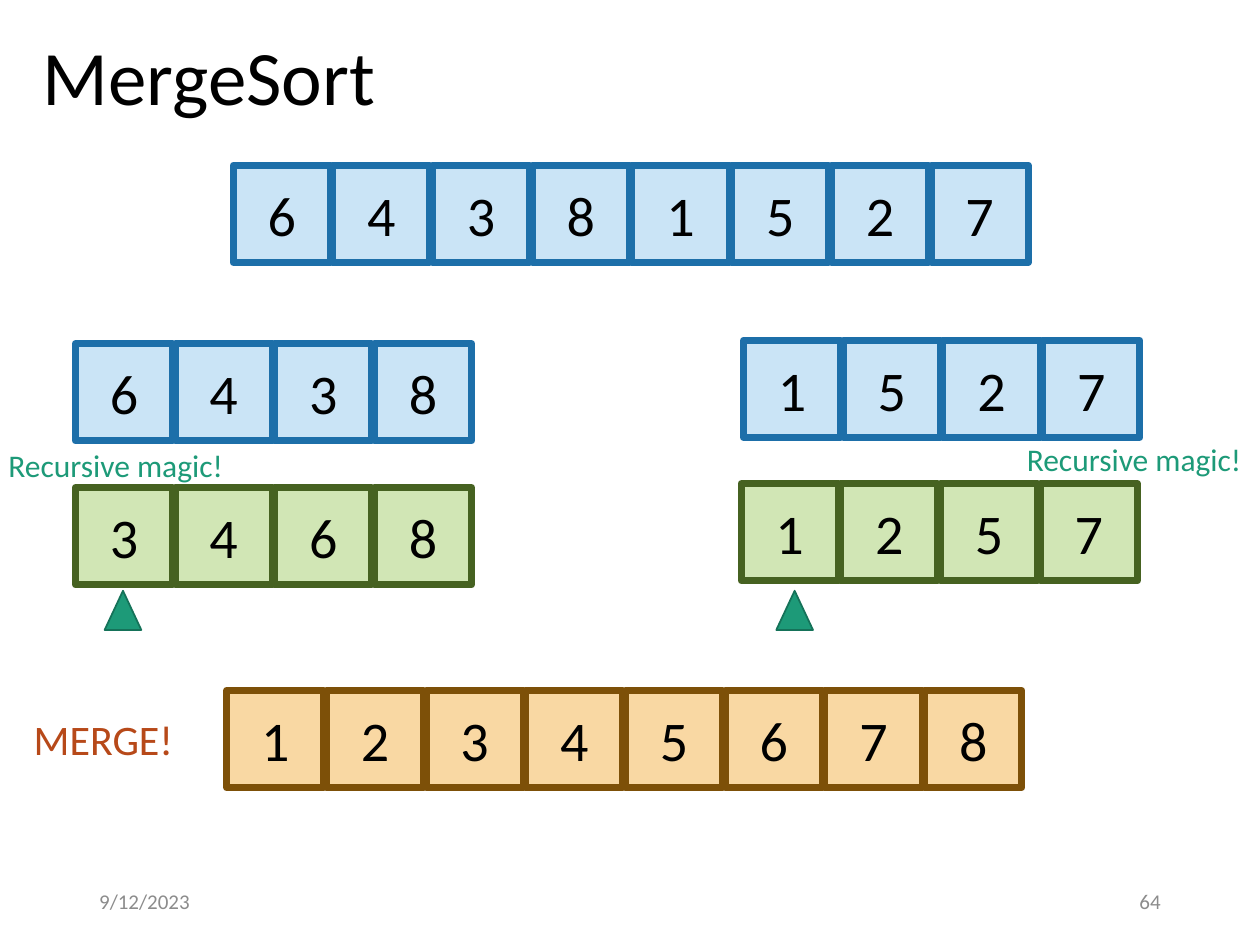
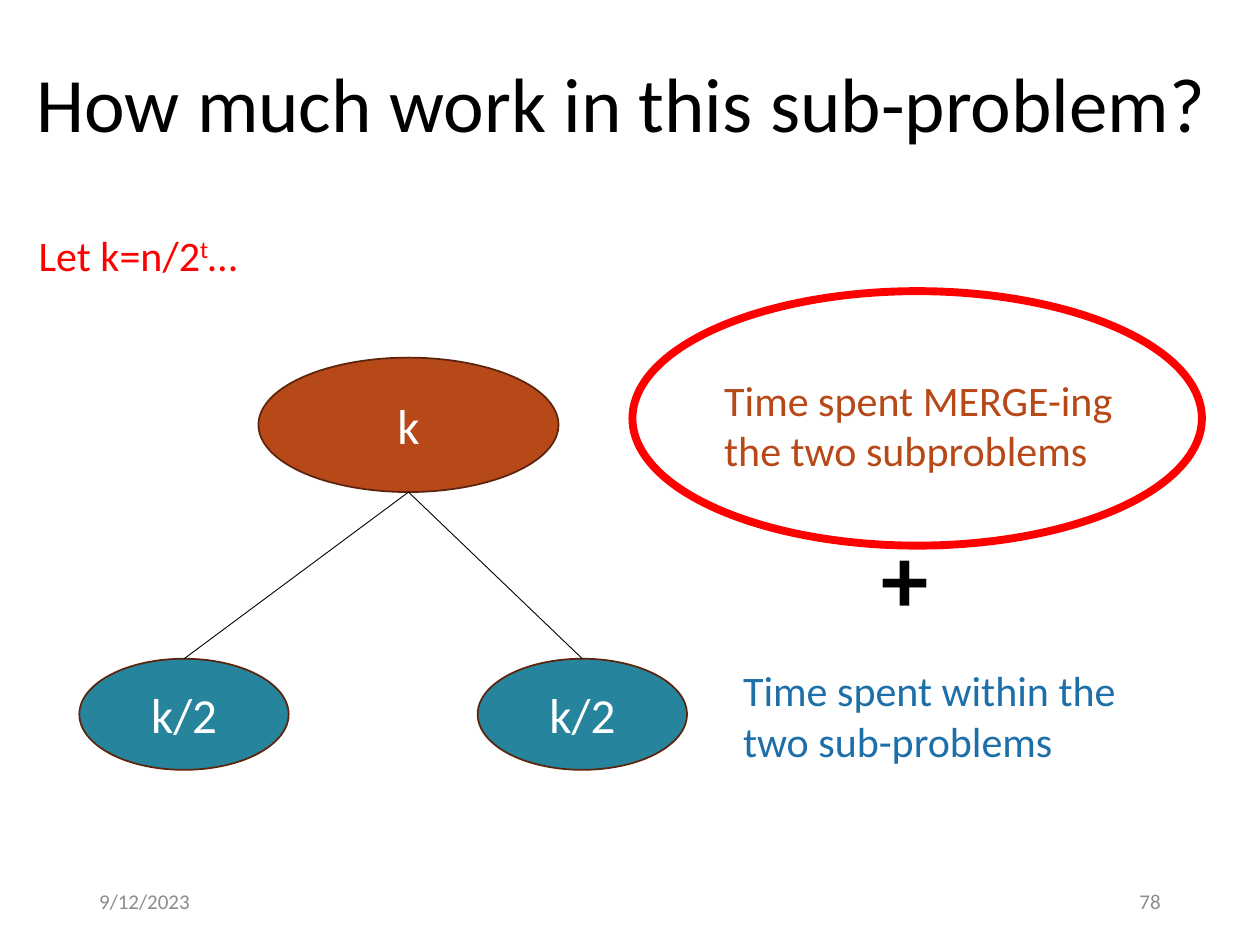
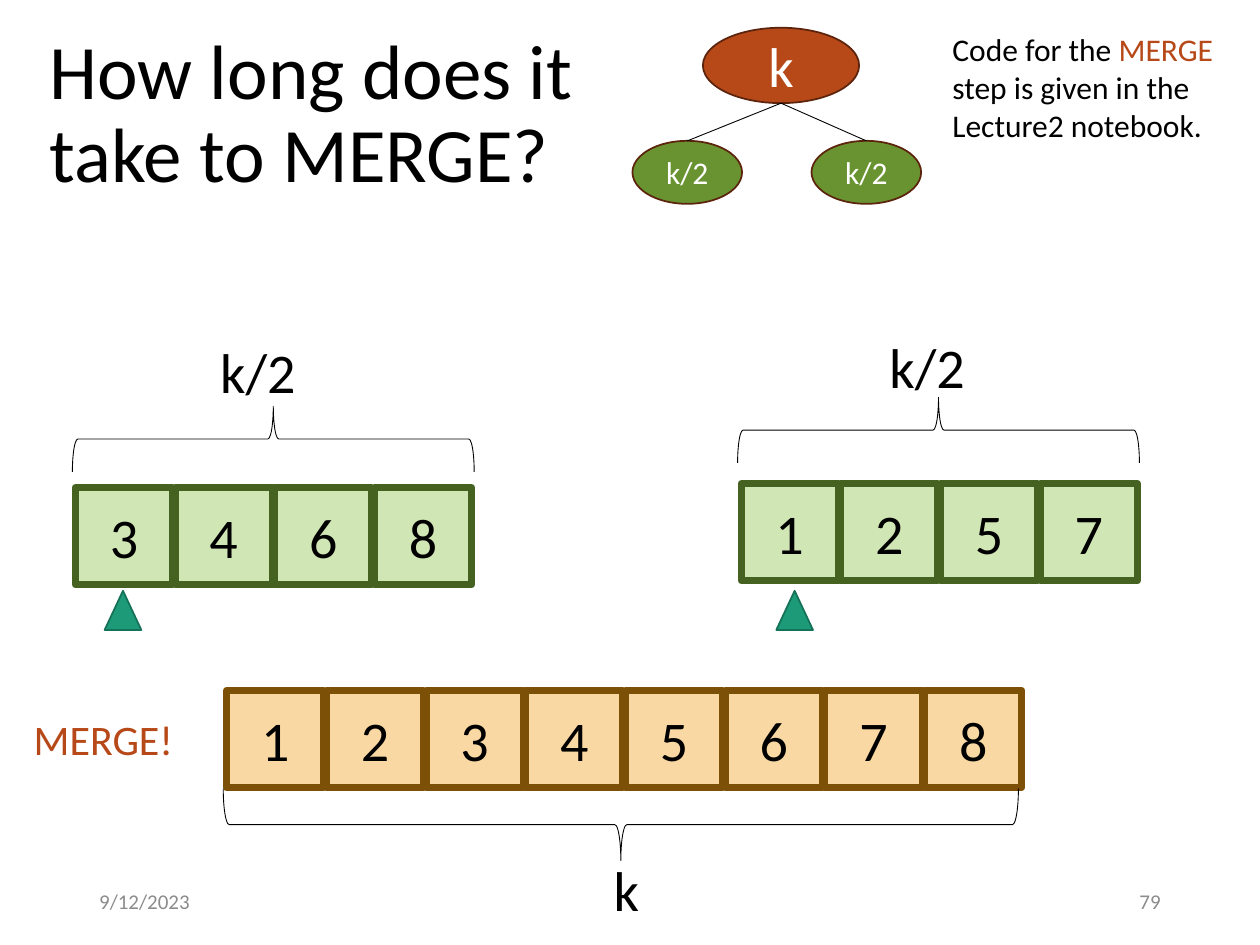
from dataclasses import dataclass
from typing import NamedTuple

from lxml import etree
from pptx import Presentation
from pptx import util as u
from pptx.dml.color import RGBColor
from pptx.enum import shapes, text
from pptx.oxml import ns

LEFT, CENTER, RIGHT = text.PP_ALIGN.LEFT, text.PP_ALIGN.CENTER, text.PP_ALIGN.RIGHT
TOP, MIDDLE = text.MSO_ANCHOR.TOP, text.MSO_ANCHOR.MIDDLE
TITLE_ONLY = 5


@dataclass(frozen=True)
class Theme:
    font: str = "Calibri"
    black: str = "000000"
    white: str = "FFFFFF"
    red: str = "FF0000"
    rust: str = "B74919"
    rust_dark: str = "5C240C"
    teal: str = "26859D"
    leaf: str = "699331"
    blue: str = "1D6FA9"
    green: str = "1D9A78"
    green_dark: str = "157259"
    gray: str = "8C8C8C"
    title_size: int = 44
    plus_size: int = 54
    cell_size: int = 32
    node_size: int = 28
    body_size: int = 24
    note_size: int = 18
    footer_size: int = 12
    hairline: float = 0.5
    outline: float = 1
    ring: float = 4.5
    cell_line: float = 4


THEME = Theme()


class Box(NamedTuple):
    """Left, top, width and height in centimetres."""
    left: float
    top: float
    width: float
    height: float

    def lengths(self) -> list[u.Cm]:
        return [u.Cm(value) for value in self]


class Run(NamedTuple):
    text: str
    color: str = THEME.black
    superscript: bool = False


class CellStyle(NamedTuple):
    fill: str
    line: str


@dataclass(frozen=True)
class NumberRow:
    digits: str
    left: float
    top: float
    style: CellStyle


@dataclass(frozen=True)
class Label:
    box: Box
    runs: tuple[Run, ...]
    size: int = THEME.body_size
    bold: bool = False
    wrap: bool = True
    align: text.PP_ALIGN = LEFT
    anchor: text.MSO_ANCHOR = TOP


@dataclass(frozen=True)
class Tree:
    root: Box
    children: tuple[Box, Box]
    child_fill: str
    root_size: int
    child_size: int


@dataclass(frozen=True)
class Brace:
    box: Box
    turn: int


CELL, PITCH = 1.96, 2.01
UNSORTED = CellStyle("CAE4F6", THEME.blue)
SORTED = CellStyle("D1E6B5", "466221")
MERGED = CellStyle("F9D8A3", "7D5008")
UP, DOWN = 270, 90

INPUT_ROWS = (
    NumberRow("64381527", 4.7, 3.33, UNSORTED),
    NumberRow("6438", 1.52, 6.93, UNSORTED),
    NumberRow("1527", 14.99, 6.86, UNSORTED),
)
MERGE_ROWS = (
    NumberRow("3468", 1.52, 9.83, SORTED),
    NumberRow("1257", 14.94, 9.75, SORTED),
    NumberRow("12345678", 4.57, 13.92, MERGED),
)
POINTERS = (Box(2.11, 11.91, 0.74, 0.79), Box(15.65, 11.91, 0.74, 0.79))
MERGE_LABEL = Label(Box(0.43, 14.25, 3.86, 1.27), (Run("MERGE!", THEME.rust),))

MAGIC_LABELS = tuple(
    Label(Box(left, top, 4.88, 1.02), (Run("Recursive magic!", THEME.green),),
          THEME.note_size, wrap=False)
    for left, top in ((20.45, 8.74), (-0.08, 8.86))
)

WORK_TREE = Tree(Box(5.21, 7.21, 6.05, 2.71),
                 (Box(1.6, 13.28, 4.22, 2.24), Box(9.63, 13.28, 4.22, 2.24)),
                 THEME.teal, THEME.node_size, THEME.node_size)
WORK_LABELS = (
    Label(Box(14.35, 7.42, 8.94, 2.31),
          (Run("Time spent MERGE-ing the two subproblems", THEME.rust),)),
    Label(Box(14.73, 13.28, 8.94, 2.31),
          (Run("Time spent within the two sub-problems", THEME.blue),)),
    Label(Box(17.53, 10.34, 2.54, 2.57), (Run("+"),), THEME.plus_size, bold=True),
    Label(Box(0.53, 4.5, 6.35, 1.27),
          (Run("Let k=n/2", THEME.red), Run("t", THEME.red, True), Run("…", THEME.red))),
)
MERGE_RING = Box(12.75, 5.87, 11.48, 5.13)

MERGE_TREE = Tree(Box(14.17, 0.56, 3.15, 1.52),
                  (Box(12.75, 2.84, 2.21, 1.27), Box(16.36, 2.84, 2.21, 1.27)),
                  THEME.leaf, THEME.cell_size, THEME.note_size)
CODE_NOTE = Label(
    Box(18.95, 0.48, 5.84, 2.57),
    (Run("Code for the "), Run("MERGE", THEME.rust),
     Run(" step is given in the Lecture2 notebook.")),
    THEME.note_size)
LENGTH_LABELS = tuple(
    Label(Box(left, top, 2.67, 1.63), (Run(length),), THEME.cell_size)
    for length, left, top in (("k/2", 17.68, 6.58), ("k/2", 4.19, 6.68), ("k", 12.12, 17.12))
)
BRACES = (
    Brace(Box(14.87, 8.01, 8.1, 1.32), UP),
    Brace(Box(1.46, 8.19, 8.1, 1.32), UP),
    Brace(Box(4.5, 15.9, 16.03, 1.45), DOWN),
)


def apply(target, values: dict) -> None:
    for name, value in values.items():
        setattr(target, name, value)


def write(frame, runs: tuple[Run, ...], size: int, align=LEFT, anchor=MIDDLE,
          bold: bool = False, wrap: bool = True) -> None:
    apply(frame, {"word_wrap": wrap, "vertical_anchor": anchor,
                  "auto_size": text.MSO_AUTO_SIZE.NONE})
    paragraph = frame.paragraphs[0]
    paragraph.alignment = align
    for part in runs:
        run = paragraph.add_run()
        run.text = part.text
        apply(run.font, {"name": THEME.font, "size": u.Pt(size), "bold": bold})
        run.font.color.rgb = RGBColor.from_string(part.color)
        if part.superscript:
            run._r.get_or_add_rPr().set("baseline", "30000")


def set_line(line, color: str, width: float) -> None:
    line.color.rgb = RGBColor.from_string(color)
    line.width = u.Pt(width)


def add_figure(slide, kind, box: Box, line: str, width: float, fill: str | None = None):
    """Add a preset shape; without a fill colour it is see-through."""
    figure = slide.shapes.add_shape(kind, *box.lengths())
    figure.shadow.inherit = False
    if fill is None:
        figure.fill.background()
    else:
        figure.fill.solid()
        figure.fill.fore_color.rgb = RGBColor.from_string(fill)
    set_line(figure.line, line, width)
    return figure


def add_label(slide, label: Label) -> None:
    box = slide.shapes.add_textbox(*label.box.lengths())
    write(box.text_frame, label.runs, label.size, label.align, label.anchor,
          label.bold, label.wrap)


def add_row(slide, row: NumberRow) -> None:
    for index, digit in enumerate(row.digits):
        box = Box(row.left + index * PITCH, row.top, CELL, CELL)
        cell = add_figure(slide, shapes.MSO_SHAPE.RECTANGLE, box, row.style.line,
                          THEME.cell_line, row.style.fill)
        write(cell.text_frame, (Run(digit),), THEME.cell_size, CENTER)


def add_node(slide, name: str, box: Box, fill: str, size: int) -> None:
    node = add_figure(slide, shapes.MSO_SHAPE.OVAL, box, THEME.rust_dark, THEME.outline, fill)
    write(node.text_frame, (Run(name, THEME.white),), size, CENTER)


def add_tree(slide, tree: Tree) -> None:
    root = tree.root
    add_node(slide, "k", root, THEME.rust, tree.root_size)
    for child in tree.children:
        add_node(slide, "k/2", child, tree.child_fill, tree.child_size)
        branch = slide.shapes.add_connector(
            shapes.MSO_CONNECTOR.STRAIGHT,
            u.Cm(root.left + root.width / 2), u.Cm(root.top + root.height),
            u.Cm(child.left + child.width / 2), u.Cm(child.top))
        set_line(branch.line, THEME.black, THEME.hairline)
        etree.SubElement(branch.element.spPr, ns.qn("a:effectLst"))


def add_brace(slide, brace: Brace) -> None:
    """Turn an upright brace about its centre so that it covers the wide box."""
    left, top, width, height = brace.box
    shift = (width - height) / 2
    upright = Box(left + shift, top - shift, height, width)
    figure = add_figure(slide, shapes.MSO_SHAPE.RIGHT_BRACE, upright,
                        THEME.black, THEME.hairline)
    figure.rotation = brace.turn


def add_merge_step(slide) -> None:
    for row in MERGE_ROWS:
        add_row(slide, row)
    for pointer in POINTERS:
        add_figure(slide, shapes.MSO_SHAPE.ISOSCELES_TRIANGLE, pointer,
                   THEME.green_dark, THEME.outline, THEME.green)
    add_label(slide, MERGE_LABEL)


def start_slide(deck, title: str, box: Box, number: int):
    """Add a slide with its title, date and slide number."""
    slide = deck.slides.add_slide(deck.slide_layouts[TITLE_ONLY])
    heading = slide.shapes.title
    apply(heading, dict(zip(("left", "top", "width", "height"), box.lengths())))
    write(heading.text_frame, (Run(title),), THEME.title_size)
    heading.text_frame.paragraphs[0].line_spacing = 0.9
    for content, left, align in (("9/12/2023", 1.75, LEFT), (str(number), 17.93, RIGHT)):
        add_label(slide, Label(Box(left, 17.65, 5.72, 1.02), (Run(content, THEME.gray),),
                               THEME.footer_size, align=align, anchor=MIDDLE))
    return slide


def build_mergesort(deck) -> None:
    slide = start_slide(deck, "MergeSort", Box(0.61, 0.61, 21.89, 2.03), 64)
    for row in INPUT_ROWS:
        add_row(slide, row)
    add_merge_step(slide)
    for label in MAGIC_LABELS:
        add_label(slide, label)


def build_subproblem_work(deck) -> None:
    slide = start_slide(deck, "How much work in this sub-problem?",
                        Box(0.48, 0.33, 24.92, 3.68), 78)
    add_tree(slide, WORK_TREE)
    for label in WORK_LABELS:
        add_label(slide, label)
    add_figure(slide, shapes.MSO_SHAPE.OVAL, MERGE_RING, THEME.red, THEME.ring)


def build_merge_time(deck) -> None:
    slide = start_slide(deck, "How long does it take to MERGE?",
                        Box(0.74, 0, 13.64, 4.67), 79)
    add_merge_step(slide)
    add_tree(slide, MERGE_TREE)
    for label in (CODE_NOTE, *LENGTH_LABELS):
        add_label(slide, label)
    for brace in BRACES:
        add_brace(slide, brace)


def main() -> None:
    deck = Presentation()
    apply(deck, {"slide_width": u.Cm(25.4), "slide_height": u.Cm(19.05)})
    build_mergesort(deck)
    build_subproblem_work(deck)
    build_merge_time(deck)
    deck.save("out.pptx")


if __name__ == "__main__":
    main()
